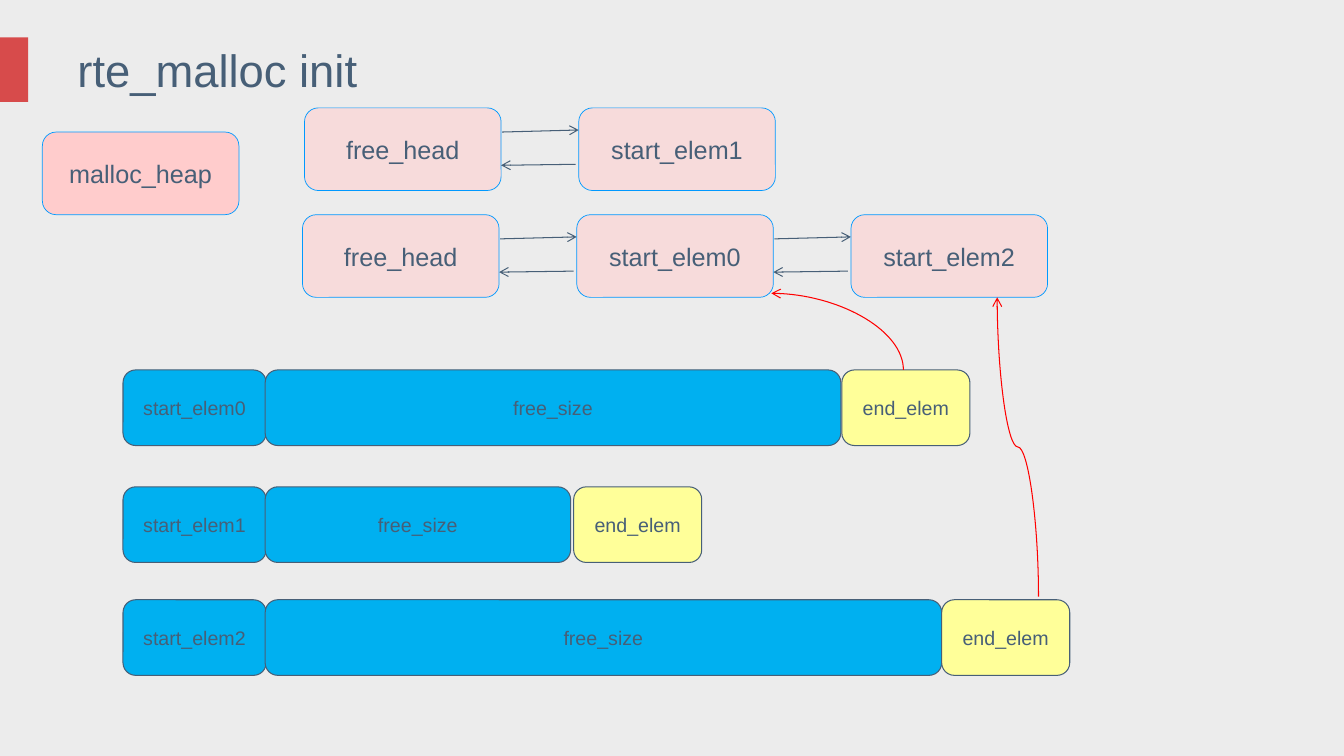
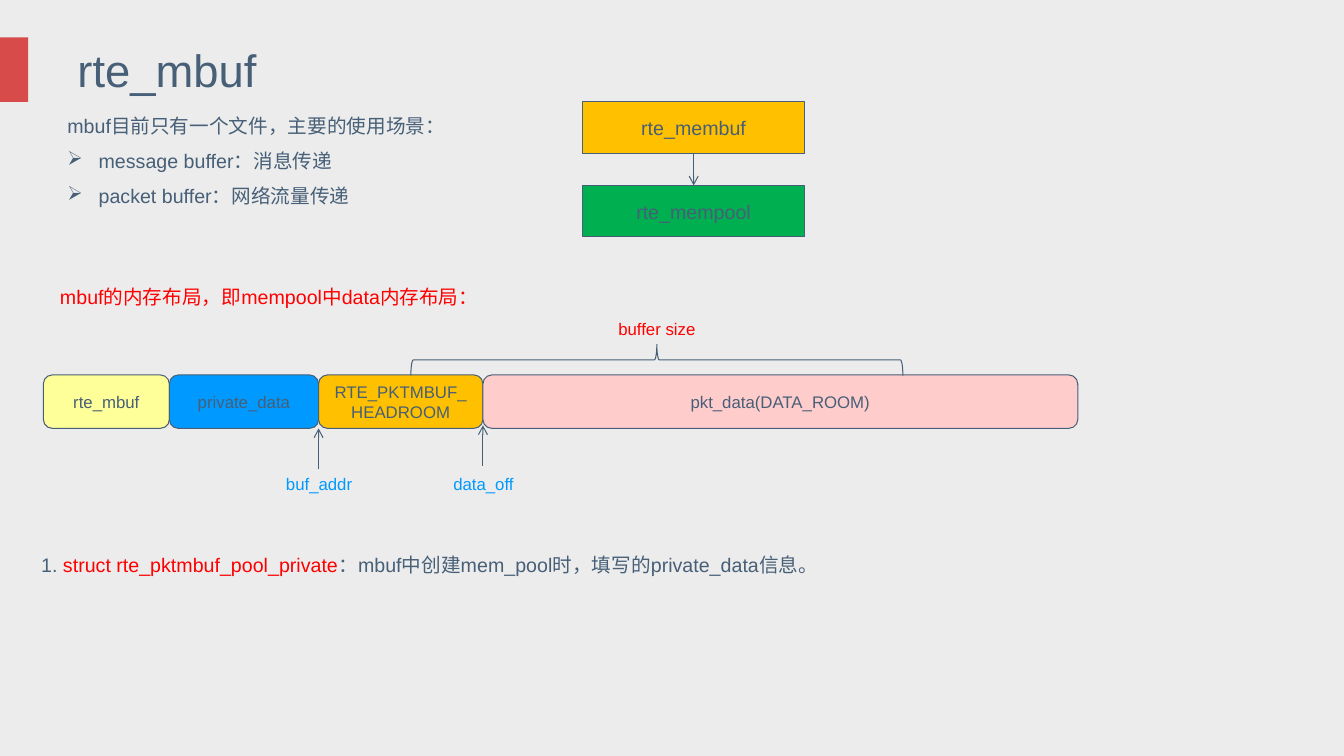
from pptx import Presentation
from pptx import util as u
from pptx.dml import color
from pptx.enum import shapes, text
from pptx.oxml import ns
from lxml import etree

INK, RED, BLUE = "475F77", "FF0000", "0099FF"
SKY, YELLOW, AMBER, GREEN = "00B0F0", "FFFF99", "FFC000", "00B050"
PINK, PALE, BAND, PAPER = "FFCCCC", "F7DBDB", "D74B4B", "ECECEC"
FONT = "Arial"
KIND = shapes.MSO_SHAPE
LINK = shapes.MSO_CONNECTOR
MID = text.MSO_ANCHOR.MIDDLE
TOP = text.MSO_ANCHOR.TOP
CENTER = text.PP_ALIGN.CENTER
LEFT = text.PP_ALIGN.LEFT


def rgb(code):
    return color.RGBColor.from_string(code)


def inch(*values):
    return [u.Inches(v) for v in values]


def child(parent, tag, **attrs):
    return etree.SubElement(parent, ns.qn(tag), attrs)


def style(para, size, ink, align):
    para.alignment = align
    para.font.size = u.Pt(size)
    para.font.name = FONT
    if ink:
        para.font.color.rgb = rgb(ink)


def shape(slide, kind, at, fill=None, line=INK, width=0.75):
    item = slide.shapes.add_shape(kind, *inch(*at))
    item.shadow.inherit = False
    if fill:
        item.fill.solid()
        item.fill.fore_color.rgb = rgb(fill)
    else:
        item.fill.background()
    if line:
        item.line.color.rgb = rgb(line)
        item.line.width = u.Pt(width)
    else:
        item.line.fill.background()
    return item


def box(slide, at, words, fill, size, kind=KIND.ROUNDED_RECTANGLE,
        line=INK, width=0.75):
    item = shape(slide, kind, at, fill, line, width)
    frame = item.text_frame
    frame.word_wrap = True
    frame.vertical_anchor = MID
    frame.text = words
    style(frame.paragraphs[0], size, INK, CENTER)
    return item


def label(slide, at, words, size, ink=INK, align=CENTER, anchor=TOP):
    frame = slide.shapes.add_textbox(*inch(*at)).text_frame
    frame.word_wrap = True
    frame.vertical_anchor = anchor
    frame.text = words
    for para in frame.paragraphs:
        style(para, size, ink, align)
    return frame


def arrow(slide, start, end, ink=INK, kind=LINK.STRAIGHT):
    item = slide.shapes.add_connector(kind, *inch(*start, *end))
    item.line.color.rgb = rgb(ink)
    item.line.width = u.Pt(0.75)
    child(item.line._get_or_add_ln(), "a:tailEnd", type="arrow")
    child(item._element.spPr, "a:effectLst")
    return item


def curve(slide, start, end, preset):
    mid_x, mid_y = (start[0] + end[0]) / 2, (start[1] + end[1]) / 2
    half_w, half_h = abs(start[1] - end[1]) / 2, abs(start[0] - end[0]) / 2
    item = arrow(slide, (mid_x - half_w, mid_y + half_h),
                 (mid_x + half_w, mid_y - half_h), RED, LINK.CURVE)
    props = item._element.spPr
    props.find(ns.qn("a:xfrm")).set("rot", "16200000")
    props.find(ns.qn("a:prstGeom")).set("prst", preset)


def page(deck, title):
    slide = deck.slides.add_slide(deck.slide_layouts[6])
    shape(slide, KIND.RECTANGLE, (0, 0.37, 0.28, 0.64), BAND, None)
    label(slide, (0.67, 0.37, 11.77, 0.64), title, 32.4, align=LEFT, anchor=MID)
    return slide


def node(slide, x, y, name, fill=PALE):
    box(slide, (x, y, 1.95, 0.82), name, fill, 18, line=BLUE, width=0.5)


def chain(slide, x, y, names):
    step = 2.72
    for i, name in enumerate(names):
        left = x + i * step
        node(slide, left, y, name)
        if i:
            arrow(slide, (left - 0.76, y + 0.24), (left, y + 0.22))
            arrow(slide, (left - 0.03, y + 0.56), (left - 0.77, y + 0.57))


def block(slide, x, y, name, size, gap):
    high = 0.75
    box(slide, (x, y, 1.42, high), name, SKY, 14)
    box(slide, (x + 1.41, y, size, high), "free_size", SKY, 14)
    box(slide, (x + 1.41 + size + gap, y, 1.27, high), "end_elem", YELLOW, 14)


def heap(deck):
    slide = page(deck, "rte_malloc init")
    node(slide, 0.42, 1.31, "malloc_heap", PINK)
    chain(slide, 3.02, 1.07, ["free_head", "start_elem1"])
    chain(slide, 3, 2.13, ["free_head", "start_elem0", "start_elem2"])
    for y, name, size, gap in [(3.67, "start_elem0", 5.71, 0.01),
                               (4.83, "start_elem1", 3.03, 0.03),
                               (5.95, "start_elem2", 6.71, 0)]:
        block(slide, 1.22, y, name, size, gap)
    curve(slide, (8.96, 3.67), (7.65, 2.91), "curvedConnector2")
    curve(slide, (10.3, 5.92), (9.89, 2.95), "curvedConnector3")


def usage(slide, x, y):
    frame = label(slide, (x, y, 4.85, 1.15),
                  "mbuf目前只有一个文件，主要的使用场景：\n"
                  "message buffer：消息传递\npacket buffer：网络流量传递",
                  14, align=LEFT)
    for i, para in enumerate(frame.paragraphs):
        para.line_spacing = 1.5
        if i:
            props = para._p.get_or_add_pPr()
            indent = u.Inches(0.31)
            props.set("marL", str(indent))
            props.set("indent", str(-indent))
            bullet = etree.Element(ns.qn("a:buChar"), {"char": "➢"})
            props.find(ns.qn("a:lnSpc")).addnext(bullet)


def pool(slide, x, y):
    upper, lower = [
        box(slide, (x, y + i * 0.83, 2.2, 0.51), name, fill, 14, KIND.RECTANGLE)
        for i, (name, fill) in enumerate([("rte_membuf", AMBER),
                                          ("rte_mempool", GREEN)])]
    link = arrow(slide, (x + 1.1, y + 0.51), (x + 1.1, y + 0.83))
    link.begin_connect(upper, 2)
    link.end_connect(lower, 0)


def layout(slide, x, y):
    high = 0.53
    left = x
    for name, wide, fill in [("rte_mbuf", 1.25, YELLOW),
                             ("private_data", 1.48, BLUE),
                             ("RTE_PKTMBUF_HEADROOM", 1.63, AMBER),
                             ("pkt_data(DATA_ROOM)", 5.9, PINK)]:
        box(slide, (left, y, wide, high), name, fill, 12)
        left += wide
    brace = shape(slide, KIND.RIGHT_BRACE, (x + 5.93, y - 2.59, 0.31, 4.88))
    brace.rotation = 270
    brace.adjustments[0] = 0.08
    brace.adjustments[1] = 0.5
    label(slide, (x + 5.11, y - 0.61, 1.95, 0.3), "buffer size", 12, RED)
    for name, mark, tip in [("buf_addr", 2.73, 0.53), ("data_off", 4.36, 0.5)]:
        arrow(slide, (x + mark, y + tip + 0.4), (x + mark, y + tip))
        label(slide, (x + mark - 0.47, y + 0.93, 0.95, 0.3), name, 12, BLUE)


def note(slide, x, y):
    para = label(slide, (x, y, 12.13, 0.45), "", 14, None, LEFT).paragraphs[0]
    para.line_spacing = 1.5
    for words, ink in [("1. ", INK), ("struct rte_pktmbuf_pool_private", RED),
                       ("：mbuf中创建mem_pool时，填写的private_data信息。", INK)]:
        run = para.add_run()
        run.text = words
        run.font.size = u.Pt(14)
        run.font.name = FONT
        run.font.color.rgb = rgb(ink)


def buffer(deck):
    slide = page(deck, "rte_mbuf")
    usage(slide, 0.57, 0.96)
    pool(slide, 5.78, 1.01)
    label(slide, (0.31, 2.78, 4.72, 0.33),
          "mbuf的内存布局，即mempool中data内存布局：", 14, RED)
    layout(slide, 0.43, 3.72)
    note(slide, 0.31, 5.32)


def main():
    deck = Presentation()
    deck.slide_width, deck.slide_height = inch(13.33, 7.5)
    back = deck.slide_master.background.fill
    back.solid()
    back.fore_color.rgb = rgb(PAPER)
    heap(deck)
    buffer(deck)
    deck.save("out.pptx")


if __name__ == "__main__":
    main()
